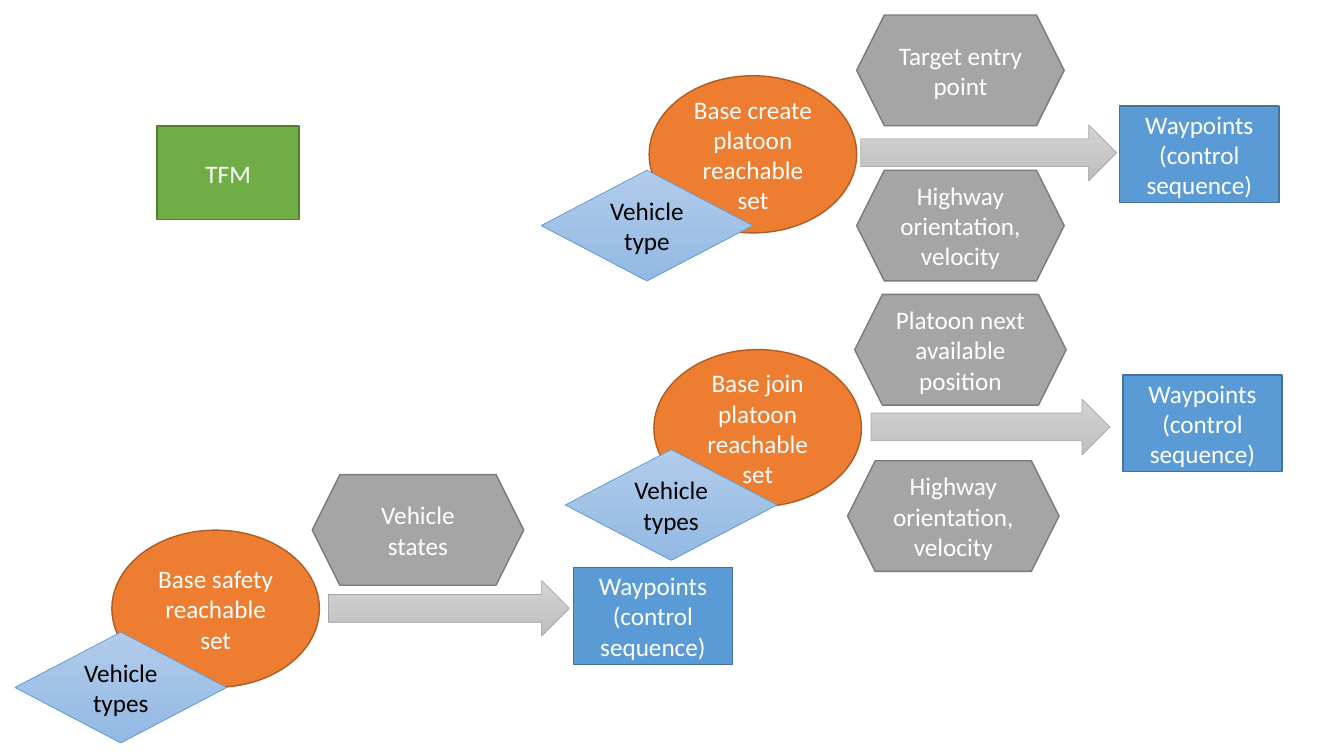
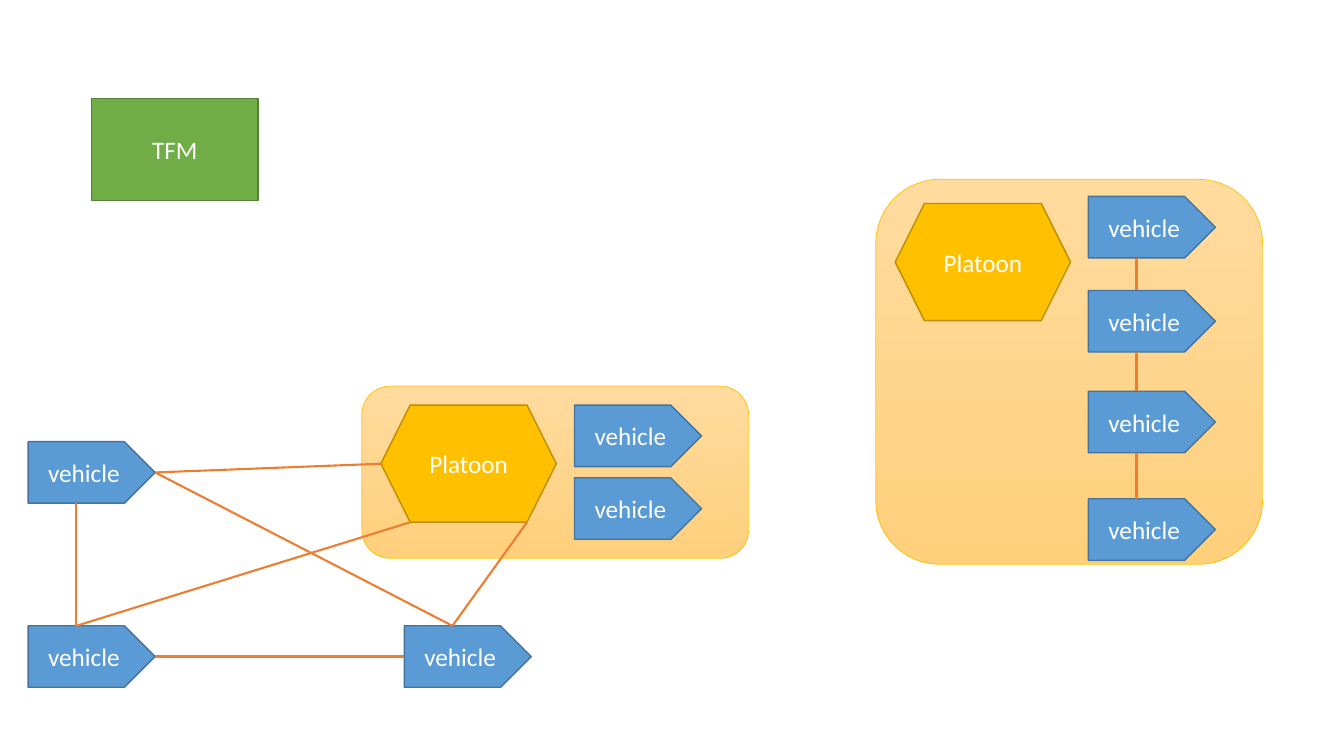
from itertools import pairwise

from pptx import Presentation
from pptx.dml.color import RGBColor
from pptx.enum.shapes import MSO_CONNECTOR, MSO_SHAPE as Preset
from pptx.enum.text import MSO_ANCHOR, PP_ALIGN
from pptx.oxml.xmlchemy import OxmlElement
from pptx.util import Cm, Pt

FONT = "Calibri"
WHITE, BLACK = "FFFFFF", "000000"
GREEN, GREEN_EDGE = "70AD47", "538035"
BLUE, BLUE_EDGE = "5B9BD5", "43739E"
ORANGE, ORANGE_EDGE = "ED7D31", "AF5C24"
GRAY, GRAY_EDGE = "A5A5A5", "7A7A7A"
GOLD, GOLD_EDGE = "FFC000", "BD8E00"
GRAY_FADE = ("D2D2D2", "C0C0C0")
BLUE_FADE = ("B1CBE9", "93B9E4")
GOLD_FADE = ("FFDB9E", "FFD07C")

VEHICLE_W, VEHICLE_H = 3.2, 1.55
PLATOON_W, PLATOON_H = 4.42, 2.95


def color(value):
    return RGBColor.from_string(value)


def nose(x, y):
    return x + VEHICLE_W, y + VEHICLE_H / 2


def tail(x, y):
    return x, y + VEHICLE_H / 2


def roof(x, y):
    return x + (VEHICLE_W - VEHICLE_H / 2) / 2, y


def floor(x, y):
    return roof(x, y + VEHICLE_H)


class Diagram:
    def __init__(self):
        self.deck = Presentation()
        self.deck.slide_width, self.deck.slide_height = Cm(33.87), Cm(19.05)

    def new_slide(self):
        self.slide = self.deck.slides.add_slide(self.deck.slide_layouts[6])
        self.ungroup()

    def group(self):
        self.canvas = self.slide.shapes.add_group_shape().shapes

    def ungroup(self):
        self.canvas = self.slide.shapes

    def shape(self, preset, x, y, w, h, fill, edge, text="", ink=WHITE):
        shape = self.canvas.add_shape(preset, Cm(x), Cm(y), Cm(w), Cm(h))
        shape.shadow.inherit = False
        shape.line.color.rgb = color(edge)
        if isinstance(fill, tuple):
            shape.fill.gradient()
            shape.fill.gradient_angle = 270
            for stop, tone, position in zip(shape.fill.gradient_stops, fill, (0, 1)):
                stop.color.rgb = color(tone)
                stop.position = position
            shape.line.width = Pt(0.5)
        else:
            shape.fill.solid()
            shape.fill.fore_color.rgb = color(fill)
            shape.line.width = Pt(1)
        if text:
            frame = shape.text_frame
            frame.word_wrap = True
            frame.vertical_anchor = MSO_ANCHOR.MIDDLE
            frame.text = text
            for paragraph in frame.paragraphs:
                paragraph.alignment = PP_ALIGN.CENTER
                paragraph.font.name = FONT
                paragraph.font.size = Pt(18)
                paragraph.font.color.rgb = color(ink)

    def tfm(self, x, y, w, h):
        self.shape(Preset.RECTANGLE, x, y, w, h, GREEN, GREEN_EDGE, "TFM")

    def reachable_set(self, x, y, text):
        self.shape(Preset.OVAL, x, y, 5.23, 3.96, ORANGE, ORANGE_EDGE, text)

    def condition(self, x, y, w, text):
        self.shape(Preset.HEXAGON, x, y, w, 2.79, GRAY, GRAY_EDGE, text)

    def arrow(self, x, y, w):
        self.shape(Preset.RIGHT_ARROW, x, y, w, 1.4, GRAY_FADE, GRAY)

    def vehicle_type(self, x, y, text):
        self.shape(Preset.DIAMOND, x, y, 5.33, 2.79, BLUE_FADE, BLUE, text, BLACK)

    def waypoints(self, x, y):
        self.shape(Preset.RECTANGLE, x, y, 4.01, 2.44, BLUE, BLUE_EDGE,
                   "Waypoints\n(control sequence)")

    def panel(self, x, y, h):
        self.shape(Preset.ROUNDED_RECTANGLE, x, y, 9.75, h, GOLD_FADE, GOLD)

    def platoon(self, x, y):
        self.shape(Preset.HEXAGON, x, y, PLATOON_W, PLATOON_H, GOLD, GOLD_EDGE, "Platoon")

    def vehicle(self, x, y):
        self.shape(Preset.PENTAGON, x, y, VEHICLE_W, VEHICLE_H, BLUE, BLUE_EDGE, "vehicle")

    def link(self, start, end):
        line = self.canvas.add_connector(
            MSO_CONNECTOR.STRAIGHT, *(Cm(value) for value in (*start, *end)))
        line.line.color.rgb = color(ORANGE)
        line.line.width = Pt(1.5)
        line.element.spPr.append(OxmlElement("a:effectLst"))


diagram = Diagram()

diagram.new_slide()
diagram.tfm(3.96, 3.18, 3.58, 2.36)
HIGHWAY = "Highway orientation, velocity"
maneuvers = [
    ((16.36, 1.91, "Base create platoon reachable set"),
     [(21.59, 4.29, 5.23, HIGHWAY), (21.59, 0.38, 5.23, "Target entry point")],
     (21.69, 3.15, 6.45), (13.64, 4.29, "Vehicle type"), (28.22, 2.67)),
    ((16.48, 8.81, "Base join platoon reachable set"),
     [(21.36, 11.61, 5.33, HIGHWAY), (21.54, 7.42, 5.33, "Platoon next available position")],
     (21.95, 10.06, 6.02), (14.25, 11.33, "Vehicle types"), (28.3, 9.45)),
    ((2.82, 13.36, "Base safety reachable set"),
     [(7.87, 11.96, 5.33, "Vehicle states")],
     (8.28, 14.63, 6.07), (0.38, 15.93, "Vehicle types"), (14.45, 14.3)),
]
for reachable, conditions, arrow, vehicle_type, waypoints in maneuvers:
    diagram.group()
    diagram.reachable_set(*reachable)
    for condition in conditions:
        diagram.condition(*condition)
    diagram.arrow(*arrow)
    diagram.vehicle_type(*vehicle_type)
    diagram.waypoints(*waypoints)

diagram.new_slide()
diagram.tfm(2.31, 2.49, 4.19, 2.57)
upper, lower, right = (0.71, 11.13), (0.71, 15.77), (10.19, 15.77)
for vehicle in (right, lower, upper):
    diagram.vehicle(*vehicle)

platoon_x, platoon_y = 9.6, 10.21
diagram.group()
diagram.panel(9.12, 9.73, 4.34)
diagram.platoon(platoon_x, platoon_y)
for y in (platoon_y, 12.04):
    diagram.vehicle(14.48, y)

diagram.ungroup()
corner = PLATOON_H / 4
platoon_bottom = platoon_y + PLATOON_H
diagram.link(nose(*upper), (platoon_x, platoon_y + PLATOON_H / 2))
diagram.link(roof(*right), (platoon_x + PLATOON_W - corner, platoon_bottom))
diagram.link(roof(*lower), (platoon_x + corner, platoon_bottom))
diagram.link(tail(*right), nose(*lower))
diagram.link(roof(*lower), floor(*upper))
diagram.link(nose(*upper), roof(*right))

diagram.group()
diagram.panel(22.07, 4.52, 9.7)
diagram.platoon(22.56, 5.13)
column = [(27.43, y) for y in (4.95, 7.32, 9.86, 12.57)]
for vehicle in column:
    diagram.vehicle(*vehicle)
for leader, follower in pairwise(column):
    diagram.link(floor(*leader), roof(*follower))

diagram.deck.save("out.pptx")
